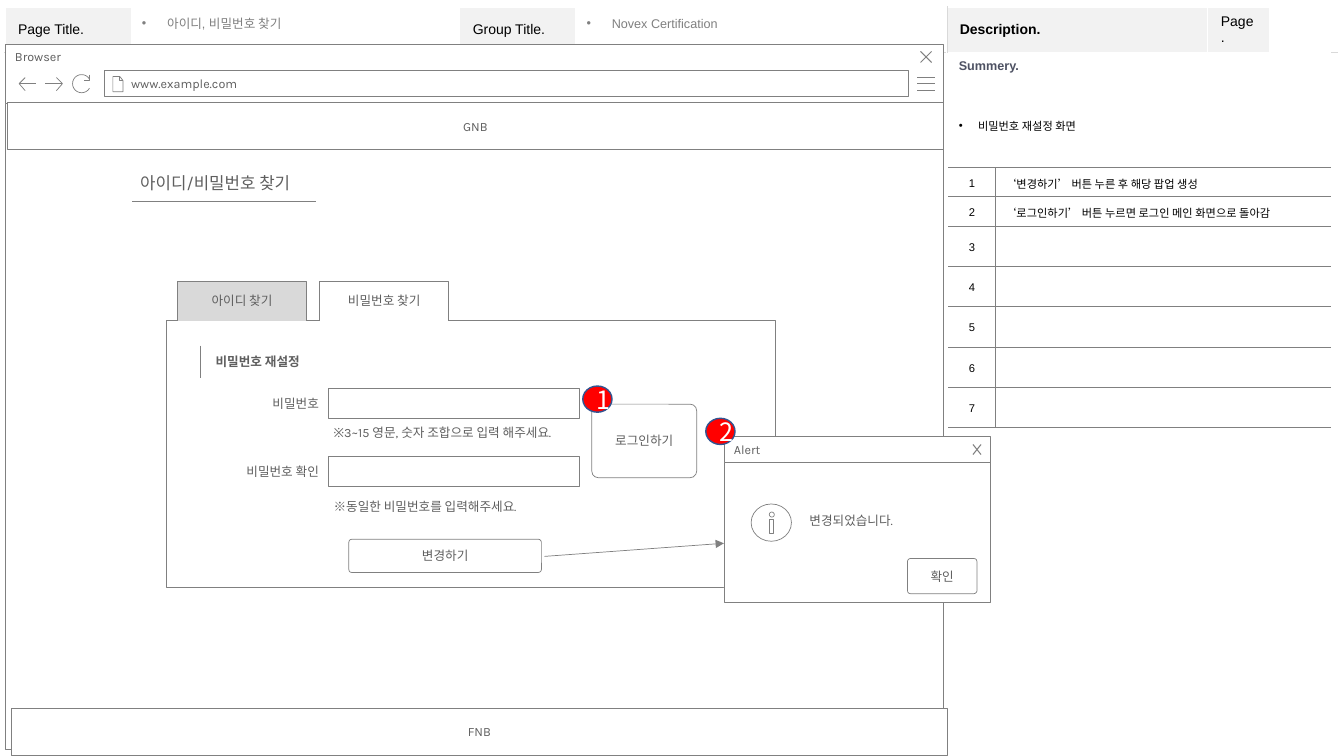
from math import cos, radians, sin
from lxml.etree import SubElement
from pptx import Presentation
from pptx.dml.color import RGBColor
from pptx.enum.shapes import MSO_CONNECTOR, MSO_SHAPE
from pptx.enum.text import MSO_ANCHOR, PP_ALIGN
from pptx.oxml.ns import qn
from pptx.util import Inches, Pt

C = {"white": "FFFFFF", "black": "000000", "line": "808080", "text": "5F5F5F",
     "pale": "D9D9D9", "head": "F2F2F2", "rule": "A6A6A6", "summary": "4E5263",
     "red": "FF0000", "blue": "325491"}
LEFT, CENTER, RIGHT, JUSTIFY = PP_ALIGN.LEFT, PP_ALIGN.CENTER, PP_ALIGN.RIGHT, PP_ALIGN.JUSTIFY
KOREAN = "Noto Sans CJK KR"


def rgb(name):
    return RGBColor.from_string(C[name])


def write(tf, text, size=9, font="Karla", color="text", bold=False, align=CENTER,
          spacing=None, before=None, bullet=0):
    p = tf.paragraphs[0]
    p.alignment = align
    if spacing:
        p.line_spacing = spacing
    if before:
        p.space_before = Pt(before)
    if bullet:
        pPr = p._p.get_or_add_pPr()
        pPr.set("marL", str(Inches(bullet)))
        pPr.set("indent", str(-Inches(bullet)))
        SubElement(pPr, qn("a:buFont")).set("typeface", "Arial")
        SubElement(pPr, qn("a:buChar")).set("char", "•")
    r = p.add_run()
    r.text = text
    r.font.size, r.font.bold, r.font.name = Pt(size), bold, font
    r.font.color.rgb = rgb(color)
    SubElement(r._r.get_or_add_rPr(), qn("a:ea")).set("typeface", KOREAN)


def frame(tf, insets=(0.1, 0.05, 0.1, 0.05), anchor=MSO_ANCHOR.MIDDLE, wrap=True):
    tf.margin_left, tf.margin_top, tf.margin_right, tf.margin_bottom = map(Inches, insets)
    tf.vertical_anchor, tf.word_wrap = anchor, wrap


def paint(sp, fill="white", line="line", width=0.5):
    sp.shadow.inherit = False
    if fill:
        sp.fill.solid()
        sp.fill.fore_color.rgb = rgb(fill)
    else:
        sp.fill.background()
    sp.line.color.rgb = rgb(line)
    sp.line.width = Pt(width)


def box(s, x, y, w, h, text=None, kind=MSO_SHAPE.RECTANGLE, fill="white", line="line",
        width=0.5, insets=(0.1, 0.05, 0.1, 0.05), anchor=MSO_ANCHOR.MIDDLE, **fmt):
    sp = s.shapes.add_shape(kind, *map(Inches, (x, y, w, h)))
    paint(sp, fill, line, width)
    if kind == MSO_SHAPE.ROUNDED_RECTANGLE:
        sp.adjustments[0] = 0.09
    frame(sp.text_frame, insets, anchor)
    if text:
        write(sp.text_frame, text, **fmt)
    return sp


def button(s, x, y, w, h, text):
    box(s, x, y, w, h, text, kind=MSO_SHAPE.ROUNDED_RECTANGLE, insets=(0, 0, 0, 0))


def label(s, x, y, w, h, text, **fmt):
    sp = s.shapes.add_textbox(*map(Inches, (x, y, w, h)))
    frame(sp.text_frame)
    write(sp.text_frame, text, **{"align": LEFT, **fmt})


def line(s, x1, y1, x2, y2, arrow=False):
    c = s.shapes.add_connector(MSO_CONNECTOR.STRAIGHT, *map(Inches, (x1, y1, x2, y2)))
    c.line.color.rgb = rgb("line")
    c.line.width = Pt(0.5)
    if arrow:
        SubElement(c.line._get_or_add_ln(), qn("a:tailEnd")).set("type", "triangle")
    SubElement(c._element.spPr, qn("a:effectLst"))


def outline(s, x, y, *strokes, fill=None, width=0.5):
    paths = [[(Inches(x + dx), Inches(y + dy)) for dx, dy in stroke] for stroke in strokes]
    fb = s.shapes.build_freeform(*paths[0][0])
    fb.add_line_segments(paths[0][1:], close=False)
    for path in paths[1:]:
        fb.move_to(*path[0])
        fb.add_line_segments(path[1:], close=False)
    sp = fb.convert_to_shape()
    paint(sp, fill, width=width)
    return sp


def cross(s, x, y, w, h):
    outline(s, x, y, [(w, 0), (0, h)], [(0, 0), (w, h)], width=0.75)


def table(s, x, y, cols, rows):
    shape = s.shapes.add_table(len(rows), len(cols), *map(Inches, (x, y, sum(cols), sum(rows))))
    t = shape.table
    t.first_row = t.horz_banding = False
    for col, w in zip(t.columns, cols):
        col.width = Inches(w)
    for row, h in zip(t.rows, rows):
        row.height = Inches(h)
    return t


def style_cell(cell, fill=None, **borders):
    tcPr = cell._tc.get_or_add_tcPr()
    for side in "LRTB":
        if side in borders:
            color = borders[side]
            ln = SubElement(tcPr, qn("a:ln" + side), w=str(Pt(1 if color == "white" else 0.25)))
            SubElement(SubElement(ln, qn("a:solidFill")), qn("a:srgbClr")).set("val", C[color])
    if fill:
        cell.fill.solid()
        cell.fill.fore_color.rgb = rgb(fill)
    else:
        cell.fill.background()
    cell.vertical_anchor = MSO_ANCHOR.MIDDLE


def header(s, x, y):
    t = table(s, x, y, [1.26, 3.25, 1.15, 3.68, 2.59, 0.61, 0.68], [0.44, 6.56])
    titles = {0: "Page Title.", 2: "Group Title.", 4: "Description.", 5: "Page."}
    t.cell(1, 0).merge(t.cell(1, 3))
    t.cell(1, 4).merge(t.cell(1, 6))
    for i in range(7):
        cell = t.cell(0, i)
        style_cell(cell, "head" if i in titles else None, L="pale" if i == 4 else "white",
                   R="pale" if i == 3 else "white", T="white", B="pale")
        if i in titles:
            cell.margin_left = cell.margin_right = Inches(0.13)
            cell.margin_top = cell.margin_bottom = Inches(0.07)
            write(cell.text_frame, titles[i], size=10, font="Arial", color="black",
                  bold=i == 4, align=LEFT)
        style_cell(t.cell(1, i), L="pale" if i == 4 else "white",
                   R="pale" if i == 3 else "white", T="pale", B="white")
    for dx, w, text in ((1.26, 3.24, "아이디, 비밀번호 찾기"), (5.67, 3.64, "Novex Certification")):
        label(s, x + dx, y + 0.05, w, 0.24, text, font="Arial", color="line",
              spacing=0.9, before=10, bullet=0.25)


def browser(s, x, y, w, h):
    box(s, x, y + 0.58, w, h - 0.58)
    box(s, x, y, w, 0.59, "Browser", align=LEFT, anchor=MSO_ANCHOR.TOP)
    outline(s, x + 9.05, y + 0.33, *[[(0, dy), (0.17, dy)] for dy in (0, 0.06, 0.13)])
    cross(s, x + 9.08, y + 0.07, 0.11, 0.11)
    box(s, x + 0.99, y + 0.26, 7.97, 0.26, "www.example.com", align=LEFT,
        insets=(0.26, 0.05, 0.1, 0.05))
    outline(s, x + 1.07, y + 0.32, [(0.06, 0), (0.06, 0.04), (0.1, 0.04)],
            [(0, 0), (0, 0.15), (0.1, 0.15), (0.1, 0.04), (0.07, 0), (0, 0)])
    outline(s, x + 0.14, y + 0.33, [(0.06, 0), (0, 0.06), (0.06, 0.13)], [(0, 0.06), (0.17, 0.06)])
    outline(s, x + 0.4, y + 0.33, [(0.11, 0), (0.17, 0.06), (0.11, 0.13)], [(0, 0.06), (0.17, 0.06)])
    arc = [(0.09 + 0.09 * cos(radians(a)), 0.09 + 0.09 * sin(radians(a))) for a in range(30, 331, 15)]
    outline(s, x + 0.67, y + 0.3, [(0.17, 0), (0.17, 0.06), (0.11, 0.06)], arc)
    box(s, x + 0.02, y + 0.58, 9.29, 0.46, "GNB")
    box(s, x + 0.06, y + 6.59, 9.29, 0.46, "FNB")


def description(s, x, y):
    notes = ["‘변경하기’ 버튼 누른 후 해당 팝업 생성",
             "‘로그인하기’ 버튼 누르면 로그인 메인 화면으로 돌아감"] + [""] * 5
    t = table(s, x, y, [0.46, 3.33], [0.28, 0.86, 0.29, 0.29] + [0.27] * 5)
    small = dict(size=8, font="Arial", color="black")
    for row, bottom in ((0, "rule"), (1, "line")):
        t.cell(row, 0).merge(t.cell(row, 1))
        for col in (0, 1):
            style_cell(t.cell(row, col), "white" if row == 0 else None, B=bottom)
    write(t.cell(0, 0).text_frame, "Summery.", font="Arial", color="summary", bold=True, align=LEFT)
    write(t.cell(1, 0).text_frame, "비밀번호 재설정 화면", align=JUSTIFY, spacing=1.2,
          bullet=0.19, **small)
    for row, note in enumerate(notes, 2):
        number, cell = t.cell(row, 0), t.cell(row, 1)
        style_cell(number, R="line", T="line", B="line")
        style_cell(cell, L="line", T="line", B="line")
        write(number.text_frame, str(row - 1), spacing=1.2, **small)
        write(cell.text_frame, note, align=LEFT, spacing=1.2, **small)


def page_heading(s, x, y, w, h):
    title = s.shapes.title
    title.left, title.top, title.width, title.height = map(Inches, (x, y, w, h))
    frame(title.text_frame, (0.1, 0.06, 0.1, 0.06))
    write(title.text_frame, "아이디/비밀번호 찾기", size=12, align=LEFT)
    title.element.getparent().append(title.element)
    line(s, x + 0.02, y + 0.34, x + w - 0.01, y + 0.34)


def reset_panel(s, x, y, w, h):
    box(s, x, y, w, h)
    for dx, fill, text in ((1.52, "white", "비밀번호 찾기"), (0.11, "pale", "아이디 찾기")):
        tab = outline(s, x + dx, y - 0.39, [(0, 0.39), (0, 0), (1.28, 0), (1.28, 0.39)], fill=fill)
        frame(tab.text_frame, (0.05, 0.05, 0.05, 0.05))
        write(tab.text_frame, text)
    line(s, x + 0.34, y + 0.25, x + 0.34, y + 0.57)
    label(s, x + 0.39, y + 0.28, 2.41, 0.26, "비밀번호 재설정", bold=True)
    fields = ((0.67, 0.98, "비밀번호", "※3~15 영문, 숫자 조합으로 입력 해주세요."),
              (1.35, 1.71, "비밀번호 확인", "※동일한 비밀번호를 입력해주세요."))
    for dy, hint_dy, name, hint in fields:
        label(s, x + 0.56, y + dy + 0.02, 1.05, 0.26, name, align=RIGHT)
        box(s, x + 1.61, y + dy, 2.49, 0.3, fill=None)
        label(s, x + 1.56, y + hint_dy, 2.69, 0.26, hint)
    button(s, x + 1.81, y + 2.17, 1.91, 0.33, "변경하기")
    button(s, x + 4.22, y + 0.83, 1.04, 0.73, "로그인하기")


def alert(s, x, y, w, h):
    box(s, x, y + 0.26, w, h - 0.26)
    box(s, x, y, w, 0.26, "Alert", align=LEFT)
    cross(s, x + 2.47, y + 0.08, 0.08, 0.1)
    box(s, x + 0.27, y + 0.67, 0.4, 0.37, kind=MSO_SHAPE.OVAL, fill=None)
    box(s, x + 0.45, y + 0.75, 0.05, 0.05, kind=MSO_SHAPE.OVAL, fill=None)
    box(s, x + 0.45, y + 0.82, 0.04, 0.14, fill=None)
    label(s, x + 0.75, y + 0.51, 1.53, 0.65, "변경되었습니다.")
    button(s, x + 1.82, y + 1.21, 0.69, 0.35, "확인")


def badge(s, x, y, number):
    box(s, x, y, 0.29, 0.26, number, kind=MSO_SHAPE.OVAL, fill="red", line="blue", width=1,
        size=18, font=KOREAN, color="white")


prs = Presentation()
prs.slide_width, prs.slide_height = Inches(13.33), Inches(7.5)
s = prs.slides.add_slide(prs.slide_layouts[5])
header(s, 0.05, 0.07)
browser(s, 0.05, 0.44, 9.31, 6.99)
description(s, 9.41, 0.52)
page_heading(s, 1.29, 1.66, 1.85, 0.31)
reset_panel(s, 1.65, 3.18, 6.04, 2.65)
alert(s, 7.18, 4.33, 2.64, 1.65)
line(s, 5.4, 5.52, 7.18, 5.39, arrow=True)
badge(s, 7, 4.15, "2")
badge(s, 5.78, 3.83, "1")
prs.save("out.pptx")
